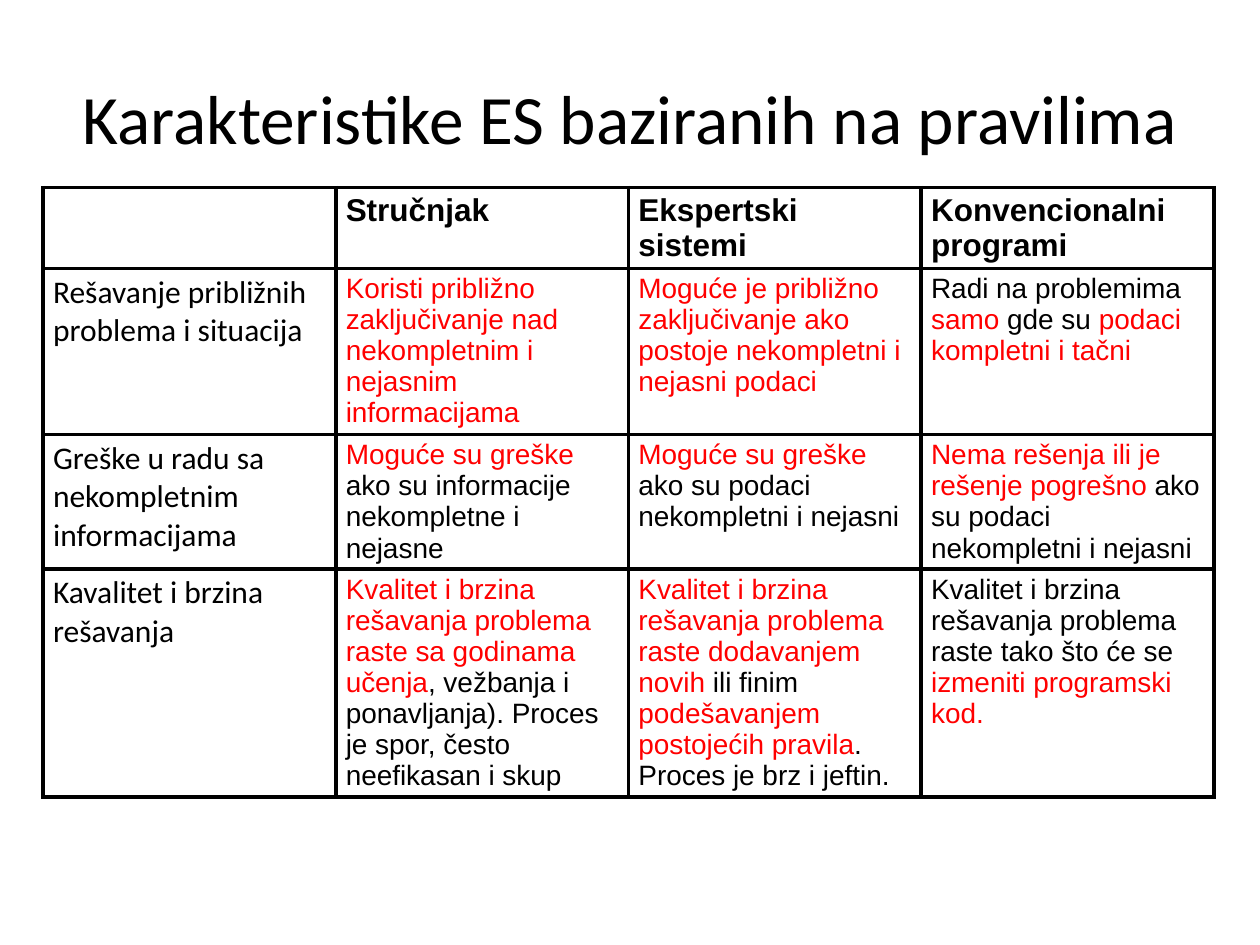
from dataclasses import dataclass

from lxml.etree import SubElement
from pptx import Presentation
from pptx.dml.color import RGBColor as RGB
from pptx.enum.text import MSO_ANCHOR as ANCHOR, MSO_AUTO_SIZE as AUTO, PP_ALIGN as ALIGN
from pptx.oxml.ns import qn
from pptx.util import Cm, Pt

COLORS = {"black": "000000", "red": "FF0000"}
ROW_HEIGHTS = [1.63, 3.35, 2.7, 4.6]
HEADERS = ["", "Stručnjak", "Ekspertski sistemi", "Konvencionalni programi"]
ROWS = [
    ("Rešavanje približnih problema i situacija",
     [("red", "Koristi približno zaključivanje nad nekompletnim i nejasnim informacijama")],
     [("red", "Moguće je približno zaključivanje ako postoje nekompletni i nejasni podaci")],
     [("black", "Radi na problemima "), ("red", "samo"), ("black", " gde su "),
      ("red", "podaci kompletni i tačni")]),
    ("Greške u radu sa nekompletnim informacijama",
     [("red", "Moguće su greške "), ("black", "ako su informacije nekompletne i nejasne")],
     [("red", "Moguće su greške"), ("black", " ako su podaci nekompletni i nejasni")],
     [("red", "Nema rešenja ili je rešenje pogrešno "),
      ("black", "ako su podaci nekompletni i nejasni")]),
    ("Kavalitet i brzina rešavanja",
     [("red", "Kvalitet i brzina rešavanja problema raste sa godinama učenja"),
      ("black", ", vežbanja i ponavljanja). Proces je spor, često neefikasan i skup")],
     [("red", "Kvalitet i brzina rešavanja problema raste dodavanjem novih "),
      ("black", "ili finim "), ("red", "podešavanjem postojećih pravila"),
      ("black", ". Proces je brz i jeftin.")],
     [("black", "Kvalitet i brzina rešavanja problema raste tako što će se "),
      ("red", "izmeniti programski kod.")]),
]


@dataclass
class Deck:
    """Style and current slide, with a method for each kind of element."""
    s: object
    head_font: str = "Calibri"
    body_font: str = "Arial"
    border: float = 2.25

    def font(self, p, name, size, bold=False):
        p.font.name, p.font.size, p.font.bold = name, Pt(size), bold

    def title(self, text, left, top, width, height):
        sp = self.s.shapes.title
        sp.left, sp.top, sp.width, sp.height = Cm(left), Cm(top), Cm(width), Cm(height)
        tf = sp.text_frame
        tf.text = text
        tf.auto_size, tf.vertical_anchor = AUTO.NONE, ANCHOR.MIDDLE
        p = tf.paragraphs[0]
        p.alignment = ALIGN.CENTER
        self.font(p, self.head_font, 39.6)
        p.font.color.rgb = RGB.from_string(COLORS["black"])

    def borders(self, cell):
        tcPr = cell._tc.get_or_add_tcPr()
        for i, side in enumerate(("a:lnL", "a:lnR", "a:lnT", "a:lnB")):
            ln = tcPr.makeelement(qn(side), {"w": str(Pt(self.border))})
            tcPr.insert(i, ln)
            fill = SubElement(ln, qn("a:solidFill"))
            SubElement(fill, qn("a:srgbClr"), val=COLORS["black"])

    def cell(self, cell, runs, name, size, bold=False):
        cell.fill.background()
        cell.margin_left = cell.margin_right = Cm(0.2)
        cell.margin_top = cell.margin_bottom = Cm(0.1)
        self.borders(cell)
        p = cell.text_frame.paragraphs[0]
        self.font(p, name, size, bold)
        for color, text in runs:
            r = p.add_run()
            r.text = text
            r.font.color.rgb = RGB.from_string(COLORS[color])

    def table(self, left, top, col_width, heights, headers, rows):
        n = len(headers)
        table = self.s.shapes.add_table(len(heights), n, Cm(left), Cm(top),
                                        Cm(n * col_width), Cm(sum(heights))).table
        table.first_row = table.horz_banding = False
        for col in table.columns:
            col.width = Cm(col_width)
        for row, height in zip(table.rows, heights):
            row.height = Cm(height)
        for j, text in enumerate(headers):
            runs = [("black", text)] if text else []
            self.cell(table.cell(0, j), runs, self.body_font, 18, True)
        for i, (label, *bodies) in enumerate(rows, 1):
            self.cell(table.cell(i, 0), [("black", label)], self.head_font, 18)
            for j, runs in enumerate(bodies, 1):
                self.cell(table.cell(i, j), runs, self.body_font, 16)


def main():
    prs = Presentation()
    prs.slide_width, prs.slide_height = Cm(25.4), Cm(19.05)
    deck = Deck(prs.slides.add_slide(prs.slide_layouts[5]))
    deck.title("Karakteristike ES baziranih na pravilima", 1.27, 0.76, 22.86, 3.18)
    deck.table(0.87, 3.78, 5.9, ROW_HEIGHTS, HEADERS, ROWS)
    prs.save("out.pptx")


if __name__ == "__main__":
    main()
